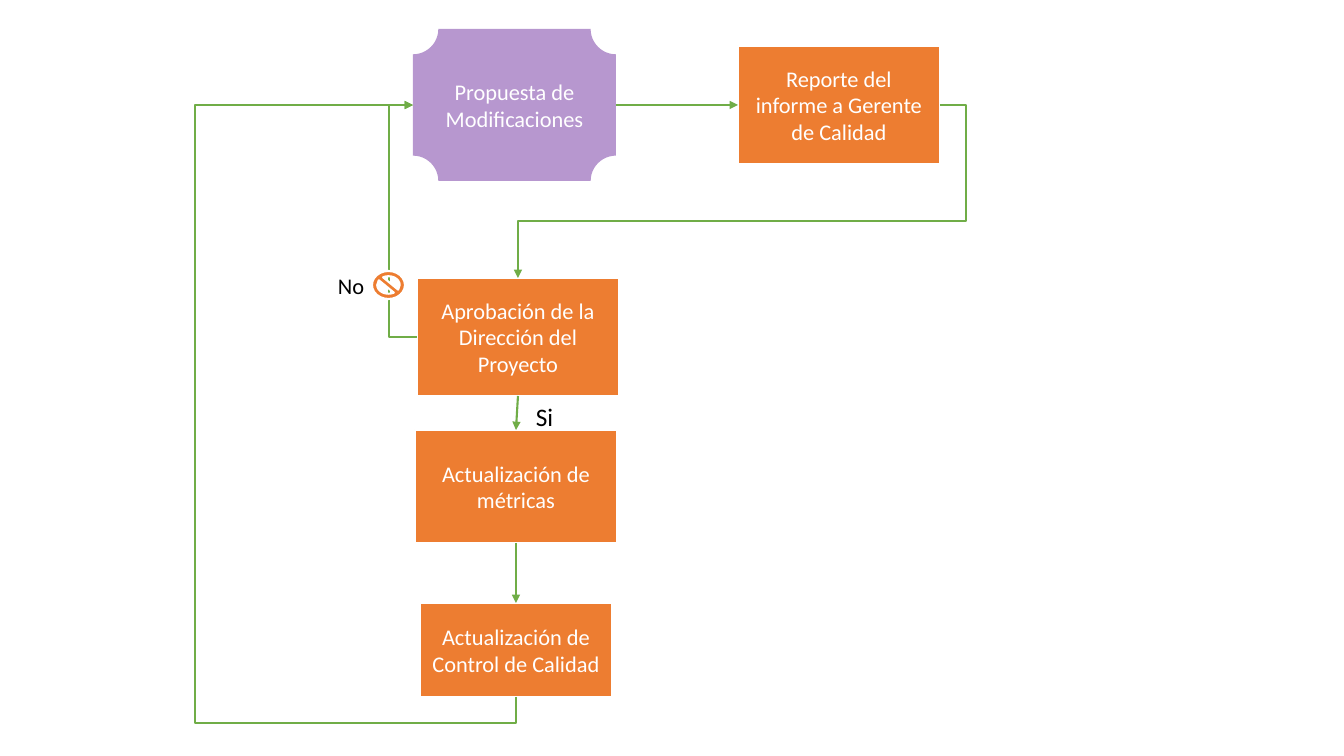
from lxml import etree
from pptx import Presentation
from pptx.dml.color import RGBColor
from pptx.enum.shapes import MSO_CONNECTOR, MSO_SHAPE
from pptx.enum.text import MSO_ANCHOR, MSO_AUTO_SIZE, PP_ALIGN
from pptx.oxml.ns import qn
from pptx.util import Pt

RECT, PLAQUE, BAN = MSO_SHAPE.RECTANGLE, MSO_SHAPE.PLAQUE, MSO_SHAPE.NO_SYMBOL
STRAIGHT, ELBOW = MSO_CONNECTOR.STRAIGHT, MSO_CONNECTOR.ELBOW
MIDDLE, CENTER, LEFT = MSO_ANCHOR.MIDDLE, PP_ALIGN.CENTER, PP_ALIGN.LEFT
GROW = MSO_AUTO_SIZE.SHAPE_TO_FIT_TEXT

ORANGE = RGBColor(0xED, 0x7D, 0x31)
PURPLE = RGBColor(0x70, 0x30, 0xA0)
GREEN = RGBColor(0x70, 0xAD, 0x47)
WHITE = RGBColor(0xFF, 0xFF, 0xFF)
BLACK = RGBColor(0, 0, 0)

SCALE = 914400 / 100.8
STROKE = Pt(1.5)
TOP, WEST, SOUTH, EAST = range(4)  # connection sites of a box

# name: (preset, fill, box, text)
STEPS = {
    "plan": (PLAQUE, PURPLE, (413, 29, 203, 152), "Propuesta de Modificaciones"),
    "report": (RECT, ORANGE, (738, 46, 202, 118),
               "Reporte del informe a Gerente de Calidad"),
    "approve": (RECT, ORANGE, (417, 278, 202, 118),
                "Aprobación de la Dirección del Proyecto"),
    "metrics": (RECT, ORANGE, (415, 430, 202, 113), "Actualización de métricas"),
    "control": (RECT, ORANGE, (420, 603, 192, 94),
                "Actualización de\nControl de Calidad"),
}
ARROWS = [
    ("plan", EAST, "report", WEST),
    ("approve", SOUTH, "metrics", TOP),
    ("metrics", SOUTH, "control", TOP),
]
# from, site, to, site, quarter turns, flipped, bends measured from the start
BENDS = [
    ("approve", WEST, "plan", WEST, 2, False, [28]),
    ("control", SOUTH, "plan", WEST, 1, True, [-26, 321]),
    ("report", EAST, "approve", TOP, 0, True, [-26, 116]),
]
LABELS = [("Si", 18, (526, 396, 38, 40)), ("No", 16, (328, 267, 47, 37))]


def px(n):
    return round(n * SCALE)


def write(frame, text, size, color, align):
    frame.text = text
    for para in frame.paragraphs:
        para.alignment = align
        look = {"name": "Calibri", "size": Pt(size)}
        for key, val in look.items():
            setattr(para.font, key, val)
        para.font.color.rgb = color


def add_box(slide, preset, fill, box):
    shape = slide.shapes.add_shape(preset, *map(px, box))
    shape.shadow.inherit = False
    shape.fill.solid()
    shape.fill.fore_color.rgb = fill
    if preset == PLAQUE:
        shape.line.fill.background()
        tint = shape.element.spPr.find(".//" + qn("a:srgbClr"))
        etree.SubElement(tint, qn("a:alpha"), val="50000")
    else:
        shape.line.color.rgb = WHITE
        shape.line.width = STROKE
    return shape


def add_step(slide, preset, fill, box, text):
    shape = add_box(slide, preset, fill, box)
    frame = shape.text_frame
    frame.word_wrap = True
    frame.vertical_anchor = MIDDLE
    write(frame, text, 16, WHITE, CENTER)
    return shape


def add_label(slide, text, size, box):
    frame = slide.shapes.add_textbox(*map(px, box)).text_frame
    frame.word_wrap = False
    frame.auto_size = GROW
    write(frame, text, size, BLACK, LEFT)


def add_arrow(slide, kind, start, out, end, into):
    """Join two steps, from one connection site to another."""
    link = slide.shapes.add_connector(kind, 0, 0, 0, 0)
    link.begin_connect(start, out)
    link.end_connect(end, into)
    link.line.color.rgb = GREEN
    link.line.width = STROKE
    props = link.element.spPr
    etree.SubElement(props.find(qn("a:ln")), qn("a:tailEnd"), type="triangle")
    etree.SubElement(props, qn("a:effectLst"))
    return link


def bend(link, turns, flip, bends):
    """Route an elbow: turn its frame and set each bend as a share of a side."""
    left, top, wide, high = link.left, link.top, link.width, link.height
    if turns % 2:
        left += (wide - high) // 2
        top += (high - wide) // 2
        wide, high = high, wide
    place = {"left": left, "top": top, "width": wide, "height": high}
    for key, val in place.items():
        setattr(link, key, val)
    props = link.element.spPr
    frame = props.find(qn("a:xfrm"))
    for key, val in {"rot": turns * 5400000, "flipH": int(flip), "flipV": 0}.items():
        frame.set(key, str(val))
    geom = props.find(qn("a:prstGeom"))
    geom.set("prst", f"bentConnector{len(bends) + 2}")
    guides = geom.find(qn("a:avLst"))
    for i, (gap, side) in enumerate(zip(bends, (wide, high)), 1):
        share = round(px(gap) / side * 100000)
        etree.SubElement(guides, qn("a:gd"), name=f"adj{i}", fmla=f"val {share}")


def add_flow(slide):
    steps = {name: add_step(slide, *step) for name, step in STEPS.items()}
    for start, out, end, into in ARROWS:
        add_arrow(slide, STRAIGHT, steps[start], out, steps[end], into)
    for start, out, end, into, turns, flip, bends in BENDS:
        link = add_arrow(slide, ELBOW, steps[start], out, steps[end], into)
        bend(link, turns, flip, bends)
    for label in LABELS:
        add_label(slide, *label)
    add_box(slide, BAN, ORANGE, (372, 271, 33, 28))


def main():
    deck = Presentation()
    deck.slide_width, deck.slide_height = px(1344), px(756)
    add_flow(deck.slides.add_slide(deck.slide_layouts[6]))
    deck.save("out.pptx")


if __name__ == "__main__":
    main()
